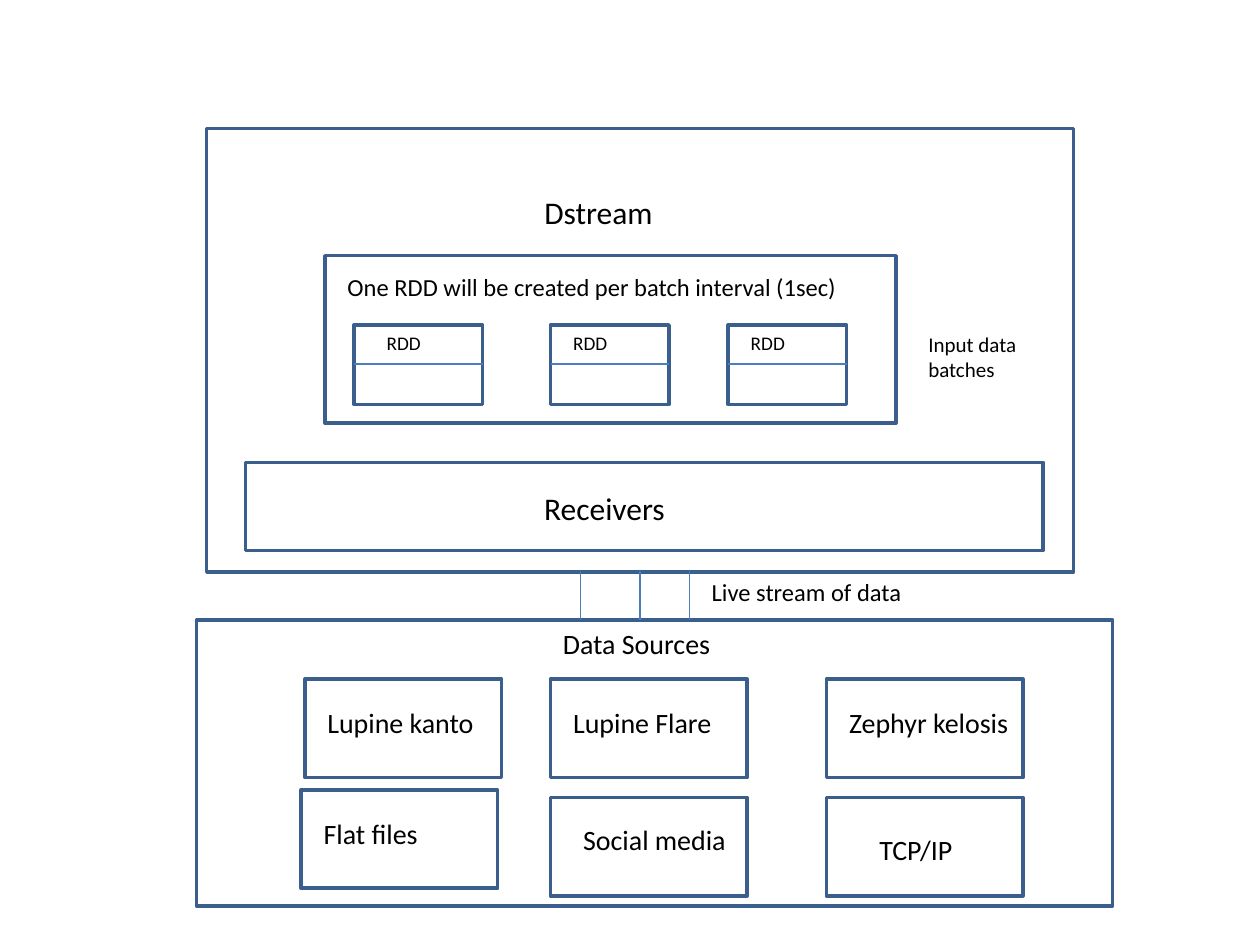
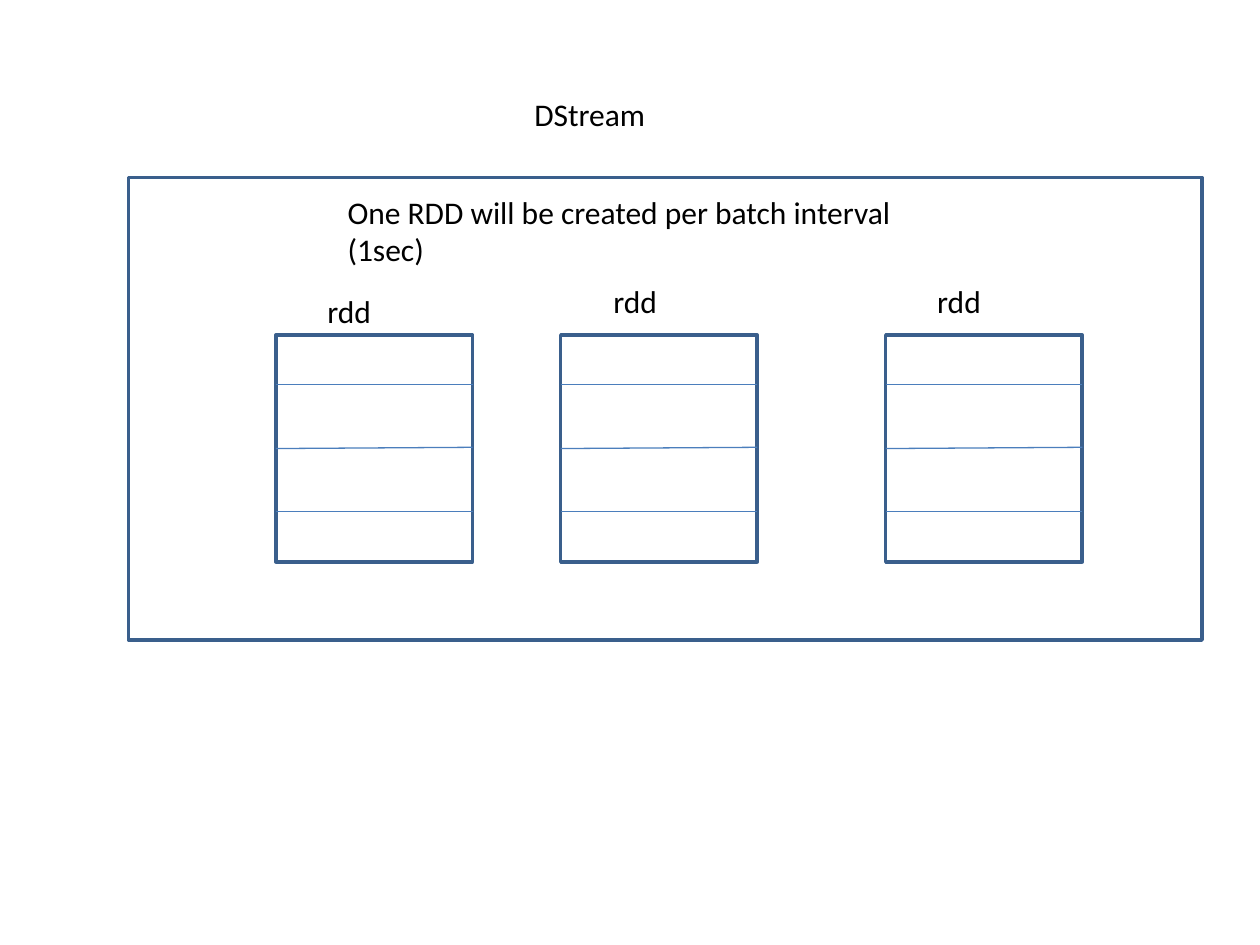
"""Two slides on how a stream of data is cut into RDD batches."""
from lxml import etree
from pptx import Presentation, util as u
from pptx.dml.color import RGBColor
from pptx.enum import shapes, text
from pptx.oxml.ns import qn

HUES = {"edge": "3A5F8C", "wire": "4B7EBC", "ink": "000000"}
FONT = "Calibri"
RULE = "One RDD will be created per batch interval (1sec)"

HEADS = [("Dstream", 4.22, 1.48, 1.33, 0.4), ("DStream", 4.14, 0.7, 1.41, 0.4)]

FLOW = {
    "frames": [
        (1.64, 1.02, 6.88, 3.52),
        (1.56, 4.92, 7.27, 2.27),
        (1.95, 3.67, 6.33, 0.7),
        (2.58, 2.03, 4.53, 1.33),
    ],
    "labels": [
        ("Data Sources", 4.37, 4.92, 1.64, 0.37, 16),
        ("Live stream of data", 5.55, 4.53, 2.34, 0.34, 14),
        ("Receivers", 4.22, 3.83, 1.41, 0.4, 18),
        ("Input data batches", 7.27, 2.58, 0.94, 0.5, 12),
        (RULE, 2.66, 2.11, 4.14, 0.34, 14),
    ],
}
SOURCES = [
    ("Lupine kanto", 2.42, 5.39, 0.08, 0.16, 1.64),
    ("Lupine Flare", 4.37, 5.39, 0.08, 0.16, 1.48),
    ("Zephyr kelosis", 6.56, 5.39, 0.08, 0.16, 1.48),
    ("Flat files", 2.39, 6.27, 0.08, 0.16, 1.28),
    ("Social media", 4.37, 6.33, 0.16, 0.15, 1.41),
    ("TCP/IP", 6.56, 6.33, 0.32, 0.23, 1.09),
]
STREAMS = [4.61, 5.08, 5.47]
BATCHES = [(2.81, 1.02, 0.16), (4.37, 0.94, 0.08), (5.78, 0.94, 0.08)]

BATCH_FRAME = (1.02, 1.41, 8.52, 3.67)
BATCH_RULE = (RULE, 2.66, 1.48, 4.92, 0.71, 18)
STACKS = [(2.19, 0.31, 2.27), (4.45, 0.32, 2.19), (7.03, 0.31, 2.19)]
STACK_TOP, STACK_WIDE, STACK_HIGH = 2.66, 1.56, 1.8
CUTS = [(3.05, 3.05), (3.56, 3.55), (4.06, 4.06)]


def inches(*sizes):
    return [u.Inches(size) for size in sizes]


def hue(name):
    return RGBColor.from_string(HUES[name])


def write(frame, words, size):
    frame.text = words
    frame.word_wrap = True
    frame.vertical_anchor = text.MSO_ANCHOR.TOP
    para = frame.paragraphs[0]
    para.alignment = text.PP_ALIGN.LEFT
    font = para.runs[0].font
    font.name, font.size = FONT, u.Pt(size)
    font.color.rgb = hue("ink")


def label(slide, words, left, top, wide, high, size):
    box = slide.shapes.add_textbox(*inches(left, top, wide, high))
    write(box.text_frame, words, size)


def frame(slide, *place):
    box = slide.shapes.add_shape(shapes.MSO_SHAPE.RECTANGLE, *inches(*place))
    box.shadow.inherit = False
    box.fill.background()
    box.line.color.rgb = hue("edge")
    box.line.width = u.Pt(2)


def wire(slide, *ends):
    line = slide.shapes.add_connector(shapes.MSO_CONNECTOR.STRAIGHT, *inches(*ends))
    line.line.color.rgb = hue("wire")
    line.line.width = u.Pt(0.75)
    etree.SubElement(line._element.spPr, qn("a:effectLst"))


def start(deck, words, *place):
    slide = deck.slides.add_slide(deck.slide_layouts[5])
    title = slide.shapes.title
    title.left, title.top, title.width, title.height = inches(*place)
    write(title.text_frame, words, 18)
    title.text_frame.auto_size = text.MSO_AUTO_SIZE.NONE
    return slide


def draw_flow(slide):
    for place in FLOW["frames"]:
        frame(slide, *place)
    for item in FLOW["labels"]:
        label(slide, *item)
    for words, left, top, dx, dy, wide in SOURCES:
        frame(slide, left, top, 1.56, 0.78)
        label(slide, words, left + dx, top + dy, wide, 0.37, 16)
    for x in STREAMS:
        wire(slide, x, 4.53, x, 4.92)
    for left, wide, dx in BATCHES:
        frame(slide, left, 2.58, wide, 0.63)
        wire(slide, left, 2.89, left + wide, 2.89)
        label(slide, "RDD", left + dx, 2.58, 0.78, 0.29, 11)


def draw_batches(slide):
    frame(slide, *BATCH_FRAME)
    label(slide, *BATCH_RULE)
    for left, dx, top in STACKS:
        frame(slide, left, STACK_TOP, STACK_WIDE, STACK_HIGH)
        label(slide, "rdd", left + dx, top, 0.7, 0.4, 18)
        for y1, y2 in CUTS:
            wire(slide, left, y1, left + STACK_WIDE, y2)


def main():
    deck = Presentation()
    deck.slide_width, deck.slide_height = inches(10, 7.5)
    for head, draw in zip(HEADS, (draw_flow, draw_batches)):
        draw(start(deck, *head))
    deck.save("out.pptx")


if __name__ == "__main__":
    main()
